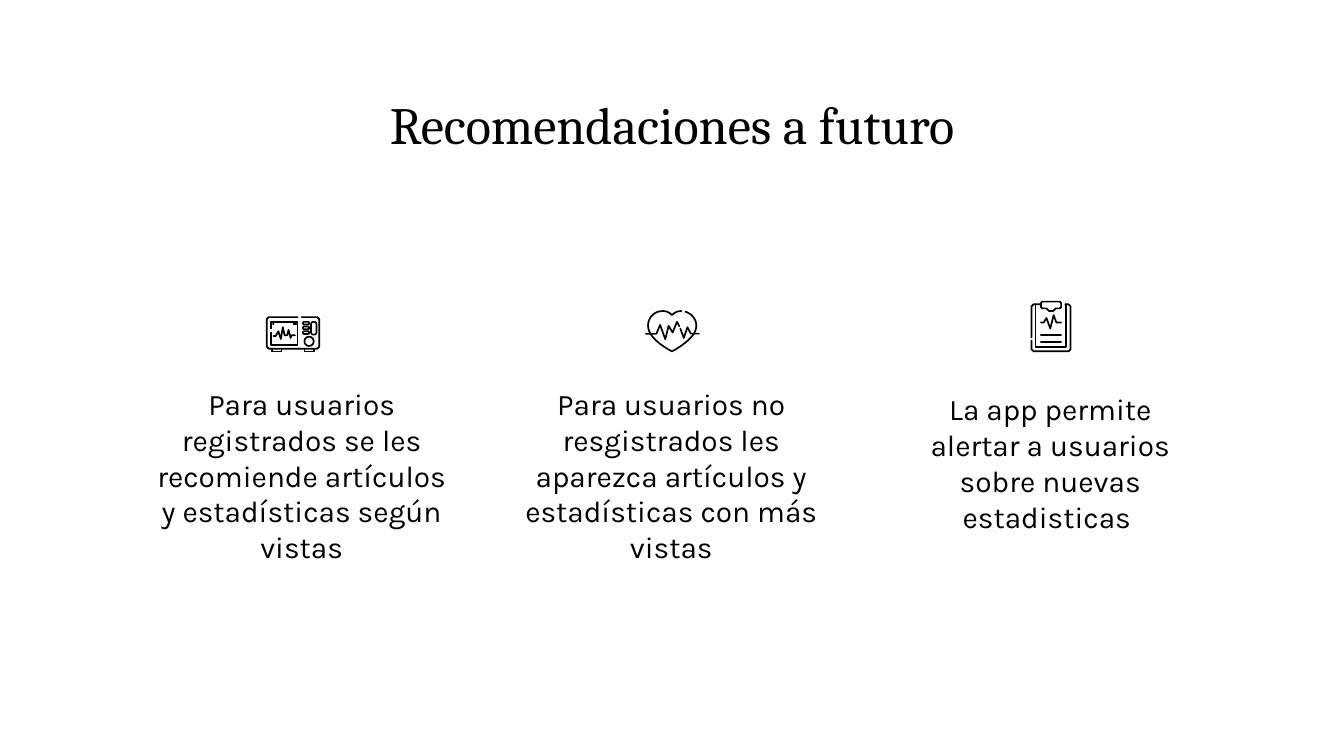
from dataclasses import dataclass

from lxml import etree
from pptx import Presentation
from pptx import util as u
from pptx.dml.color import RGBColor
from pptx.enum import shapes, text
from pptx.oxml.ns import qn


@dataclass(frozen=True)
class Theme:
    ink: RGBColor = RGBColor(0, 0, 0)
    paper: RGBColor = RGBColor(255, 255, 255)
    title_font: str = "Cambria"
    body_font: str = "Karla"
    title_size: int = 28
    body_size: int = 16
    stroke: float = 0.9


THEME = Theme()
WIDTH = u.Inches(10)
HEIGHT = WIDTH * 9 // 16
CELL = WIDTH // 1000  # the grid has 1000 columns of square cells


def cells(*values):
    return [u.Emu(round(value * CELL)) for value in values]


def add_text(page, area, wording, font, size, space_after=0):
    box = page.shapes.add_textbox(*cells(*area))
    frame = box.text_frame
    frame.word_wrap = True
    frame.vertical_anchor = text.MSO_ANCHOR.TOP
    frame.margin_left = frame.margin_right = u.Inches(0.1)
    frame.margin_top = frame.margin_bottom = u.Inches(0.1)
    para = frame.paragraphs[0]
    para.alignment = text.PP_ALIGN.CENTER
    para.space_after = u.Pt(space_after)
    span = para.add_run()
    span.text = wording
    span.font.name = font
    span.font.size = u.Pt(size)
    span.font.color.rgb = THEME.ink


def ink_line(shape):
    """Give a shape or connector the icon stroke with round ends and joins."""
    shape.line.color.rgb = THEME.ink
    shape.line.width = u.Pt(THEME.stroke)
    line = shape.line._get_or_add_ln()
    line.set("cap", "rnd")
    etree.SubElement(line, qn("a:round"))


def add_strokes(page, origin, *strokes):
    """Draw open polylines, in cells from the icon's corner, as one outline."""
    left, top = origin
    paths = [[cells(left + x, top + y) for x, y in stroke] for stroke in strokes]
    builder = page.shapes.build_freeform(*paths[0][0])
    for index, points in enumerate(paths):
        if index:
            builder.move_to(*points[0])
        builder.add_line_segments(points[1:], close=False)
    shape = builder.convert_to_shape()
    shape.shadow.inherit = False
    shape.fill.background()
    ink_line(shape)


def add_outline(page, origin, kind, area, rounding=None):
    left, top, width, height = area
    shape = page.shapes.add_shape(
        kind, *cells(origin[0] + left, origin[1] + top, width, height))
    if rounding is not None:
        shape.adjustments[0] = rounding
    shape.shadow.inherit = False
    shape.fill.background()
    ink_line(shape)


def add_rule(page, origin, left, right, y):
    ends = cells(origin[0] + left, origin[1] + y, origin[0] + right, origin[1] + y)
    rule = page.shapes.add_connector(shapes.MSO_CONNECTOR.STRAIGHT, *ends)
    ink_line(rule)
    etree.SubElement(rule._element.spPr, qn("a:effectLst"))


def curve(start, *bends, steps=12):
    """Points along a chain of cubic Bézier bends."""
    points = [start]
    for first, second, end in bends:
        for step in range(1, steps + 1):
            t = step / steps
            weights = (1 - t) ** 3, 3 * t * (1 - t) ** 2, 3 * t * t * (1 - t), t ** 3
            knots = start, first, second, end
            points.append(tuple(
                sum(w * knot[axis] for w, knot in zip(weights, knots))
                for axis in (0, 1)))
        start = end
    return points


def draw_monitor(page, origin):
    rounded = shapes.MSO_SHAPE.ROUNDED_RECTANGLE
    add_outline(page, origin, shapes.MSO_SHAPE.OVAL, (28.5, 15.5, 7, 7))
    for row in range(3):
        add_outline(page, origin, rounded, (27.5, 4.5 + 3.5 * row, 4.5, 2), 0.4)
    add_outline(page, origin, rounded, (33.5, 4.5, 4, 9.5), 0.4)
    for left, right in ((20.5, 22.5), (5.2, 5.6)):
        add_rule(page, origin, left, right, 6)
    add_strokes(page, origin, [
        (5.5, 15), (7.2, 15), (9.2, 11.5), (11, 17.3), (12.5, 8.5), (13.8, 14.5),
        (15.7, 14.5), (16.8, 10.5), (18.3, 16.5), (19, 14.5), (21.5, 14.5)])
    case = [(26.5, 1), (38, 1), (39.5, 2.5), (39.5, 23), (38, 24.5), (2, 24.5),
            (0.5, 23), (0.5, 2.5), (2, 1), (23.5, 1)]
    feet = [[(x, 24.5), (x, 26.5), (x + 7, 26.5), (x + 7, 24.5)]
            for x in (4.5, 28.5)]
    add_strokes(page, origin, case, *feet)
    add_strokes(page, origin, [(3.5, 9.5), (3.5, 4.5), (23.5, 4.5), (23.5, 21.5),
                               (3.5, 21.5), (3.5, 12.5)])


def draw_heart(page, origin):
    outline = curve(
        (31, 1),
        ((37.5, 3), (41.5, 10), (37.5, 17)),
        ((34, 23), (24, 29), (21, 30.5)),
        ((16, 28), (8.5, 23), (5, 17.5)),
        ((0, 9), (6, 0.5), (14, 0.5)),
        ((17, 0.5), (19, 1.5), (21, 3.5)),
        ((23, 1.5), (25, 0.5), (28, 0.5)))
    pulse_start = [(1.5, 17.5), (9.3, 17.5), (12.2, 10.8), (16, 21.5), (18.5, 11.5),
                   (21.5, 16.5), (24.7, 8.5), (26.4, 11.8)]
    pulse_end = [(27.2, 13.5), (29.8, 20.5), (32.5, 12.5), (35, 17.3), (41, 17.3)]
    add_strokes(page, origin, outline, pulse_start, pulse_end)


def draw_clipboard(page, origin):
    board_left = [(0.5, 27), (0.5, 4), (2, 2.5), (7.5, 2.5)]
    board_right = [(25.5, 2.5), (28, 2.5), (29.5, 4), (29.5, 36), (28, 37.5),
                   (2, 37.5), (0.5, 36), (0.5, 29.5)]
    sheet = [(3.5, 2.5), (3.5, 34.5), (26, 34.5), (26, 2.5)]
    clip = [(8.5, 0.5), (21.5, 0.5), (22.5, 1.5), (22.5, 4.5), (21.5, 5.5),
            (18.5, 5.5), (16.5, 7.5), (13.5, 7.5), (11.5, 5.5), (8.5, 5.5),
            (7.5, 4.5), (7.5, 1.5), (8.5, 0.5)]
    add_strokes(page, origin, board_left, board_right, sheet, clip)
    add_strokes(page, origin, [(7.5, 16), (9.7, 16), (11.6, 12.7), (14.5, 20.5),
                               (17, 10.5), (19, 16), (22.5, 16)])
    for y in (25.5, 30.5):
        add_rule(page, origin, 7.5, 22.5, y)


RECOMMENDATIONS = (
    ((106, 277, 237, 167), draw_monitor, (198, 235),
     "Para usuarios registrados se les recomiende artículos y estadísticas "
     "según vistas"),
    ((381, 277, 237, 146), draw_heart, (479, 231),
     "Para usuarios no resgistrados les aparezca artículos y estadísticas "
     "con más vistas"),
    ((663, 281, 237, 136), draw_clipboard, (767, 224),
     "La app permite alertar a usuarios sobre nuevas estadisticas "),
)


def main():
    deck = Presentation()
    deck.slide_width, deck.slide_height = WIDTH, HEIGHT
    page = deck.slides.add_slide(deck.slide_layouts[6])
    page.background.fill.solid()
    page.background.fill.fore_color.rgb = THEME.paper
    add_text(page, (78, 59, 844, 63), "Recomendaciones a futuro",
             THEME.title_font, THEME.title_size)
    for area, draw_icon, origin, wording in RECOMMENDATIONS:
        add_text(page, area, wording, THEME.body_font, THEME.body_size, 12)
        draw_icon(page, origin)
    deck.save("out.pptx")


if __name__ == "__main__":
    main()
